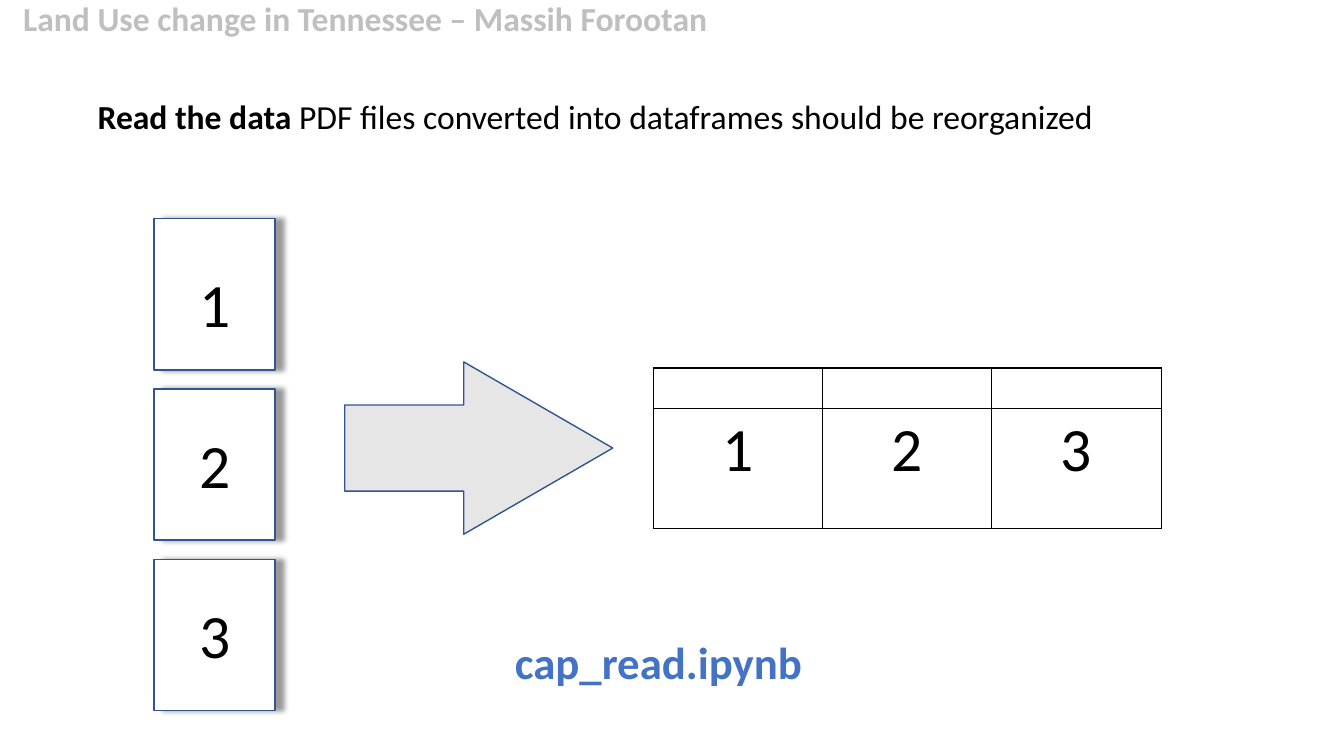
from dataclasses import dataclass

from lxml import etree
from pptx import Presentation
from pptx.dml.color import RGBColor
from pptx.enum.shapes import MSO_SHAPE
from pptx.enum.text import MSO_ANCHOR, MSO_AUTO_SIZE, PP_ALIGN
from pptx.oxml import parse_xml
from pptx.oxml.ns import nsdecls, qn
from pptx.util import Inches, Pt

RECT, ARROW = MSO_SHAPE.RECTANGLE, MSO_SHAPE.RIGHT_ARROW
LEFT, CENTER = PP_ALIGN.LEFT, PP_ALIGN.CENTER
TOP, MIDDLE = MSO_ANCHOR.TOP, MSO_ANCHOR.MIDDLE
NO_FIT = MSO_AUTO_SIZE.NONE
TITLE_ONLY = 5
CELL = Inches(1) / 12
COLS, ROWS = 160, 90
LABELS = ("1", "2", "3")


@dataclass(frozen=True)
class Theme:
    font: str = "Calibri"
    text: str = "000000"
    muted: str = "BFBFBF"
    accent: str = "4472C4"
    outline: str = "325491"
    paper: str = "FFFFFF"
    arrow: str = "E7E6E6"
    body: int = 24
    caption: int = 32
    digit: int = 44
    line: int = 1


THEME = Theme()


@dataclass(frozen=True)
class Box:
    x: float
    y: float
    w: float
    h: float

    def inner(self, x, y, w, h):
        return Box(self.x + x, self.y + y, w, h)

    def emu(self):
        return [round(v * CELL) for v in (self.x, self.y, self.w, self.h)]


def rgb(value):
    return RGBColor.from_string(value)


def add_run(p, text, size, color=THEME.text, bold=False):
    r = p.add_run()
    r.text = text
    r.font.name = THEME.font
    r.font.size = Pt(size)
    r.font.bold = bold
    r.font.color.rgb = rgb(color)


def add_text(s, box, align=LEFT, wrap=True):
    tf = s.shapes.add_textbox(*box.emu()).text_frame
    tf.word_wrap = wrap
    p = tf.paragraphs[0]
    p.alignment = align
    return p


def add_outlined(s, kind, box, fill):
    sp = s.shapes.add_shape(kind, *box.emu())
    sp.shadow.inherit = False
    sp.fill.solid()
    sp.fill.fore_color.rgb = rgb(fill)
    sp.line.color.rgb = rgb(THEME.outline)
    sp.line.width = Pt(THEME.line)
    return sp


def add_shadow(sp):
    effects = sp.element.spPr.find(qn("a:effectLst"))
    effects.append(parse_xml(
        f'<a:outerShdw {nsdecls("a")} blurRad="{Pt(4)}" dist="{Pt(6)}" dir="0" '
        f'algn="l" rotWithShape="0"><a:srgbClr val="{THEME.text}">'
        '<a:alpha val="40000"/></a:srgbClr></a:outerShdw>'))


def format_cell(cell):
    tcPr = cell._tc.get_or_add_tcPr()
    for side in ("a:lnL", "a:lnR", "a:lnT", "a:lnB"):
        ln = etree.SubElement(tcPr, qn(side), w=str(Pt(THEME.line)))
        fill = etree.SubElement(ln, qn("a:solidFill"))
        etree.SubElement(fill, qn("a:srgbClr"), val=THEME.text)
    cell.fill.background()


def add_title(s, box):
    title = s.shapes.title
    title.left, title.top, title.width, title.height = box.emu()
    tf = title.text_frame
    tf.word_wrap = True
    tf.auto_size = NO_FIT
    tf.vertical_anchor = MIDDLE
    p = tf.paragraphs[0]
    p.alignment = LEFT
    p.line_spacing = 0.9
    add_run(p, "Land Use change in Tennessee – Massih Forootan",
            THEME.body, THEME.muted, True)


def add_lead(s, box):
    p = add_text(s, box)
    p.line_spacing = 0.9
    p.space_before = Pt(10)
    add_run(p, "Read the data ", THEME.body, bold=True)
    add_run(p, "PDF files converted into dataframes should be reorganized",
            THEME.body)


def add_pages(s, box):
    page_h = 18
    pitch = (box.h - page_h) / (len(LABELS) - 1)
    for i, (label, drop) in enumerate(zip(LABELS, (5.04, 3.9, 3.9))):
        page = box.inner(0, i * pitch, box.w, page_h)
        add_shadow(add_outlined(s, RECT, page, THEME.paper))
        p = add_text(s, page.inner(3.36, drop, 7.68, 10.08), CENTER)
        add_run(p, label, THEME.digit)


def add_arrow(s, box):
    sp = add_outlined(s, ARROW, box, THEME.arrow)
    sp.adjustments[0] = 0.5
    sp.adjustments[1] = 0.865


def add_dataframe(s, box):
    header_h = 4.8
    table = s.shapes.add_table(2, len(LABELS), *box.emu()).table
    table.first_row = False
    table.horz_banding = False
    table.rows[0].height = round(header_h * CELL)
    table.rows[1].height = round((box.h - header_h) * CELL)
    for cell in table.iter_cells():
        format_cell(cell)
    for col, label in enumerate(LABELS):
        cell = table.cell(1, col)
        cell.vertical_anchor = TOP
        p = cell.text_frame.paragraphs[0]
        p.alignment = CENTER
        add_run(p, label, THEME.digit)


def add_caption(s, box):
    p = add_text(s, box, wrap=False)
    add_run(p, "cap_read.ipynb", THEME.caption, THEME.accent, True)


def build_slide(prs, box):
    s = prs.slides.add_slide(prs.slide_layouts[TITLE_ONLY])
    add_title(s, box.inner(1.56, 0, 117.12, 4.92))
    add_lead(s, box.inner(10.44, 11.4, 138, 12))
    add_pages(s, box.inner(18.36, 26.04, 14.4, 58.56))
    add_arrow(s, box.inner(41.04, 43.08, 31.92, 20.52))
    add_dataframe(s, box.inner(77.76, 43.8, 60.48, 19.08))
    add_caption(s, box.inner(60.12, 75, 36.84, 7.68))


def main():
    prs = Presentation()
    prs.slide_width = round(COLS * CELL)
    prs.slide_height = round(ROWS * CELL)
    build_slide(prs, Box(0, 0, COLS, ROWS))
    prs.save("out.pptx")


if __name__ == "__main__":
    main()
